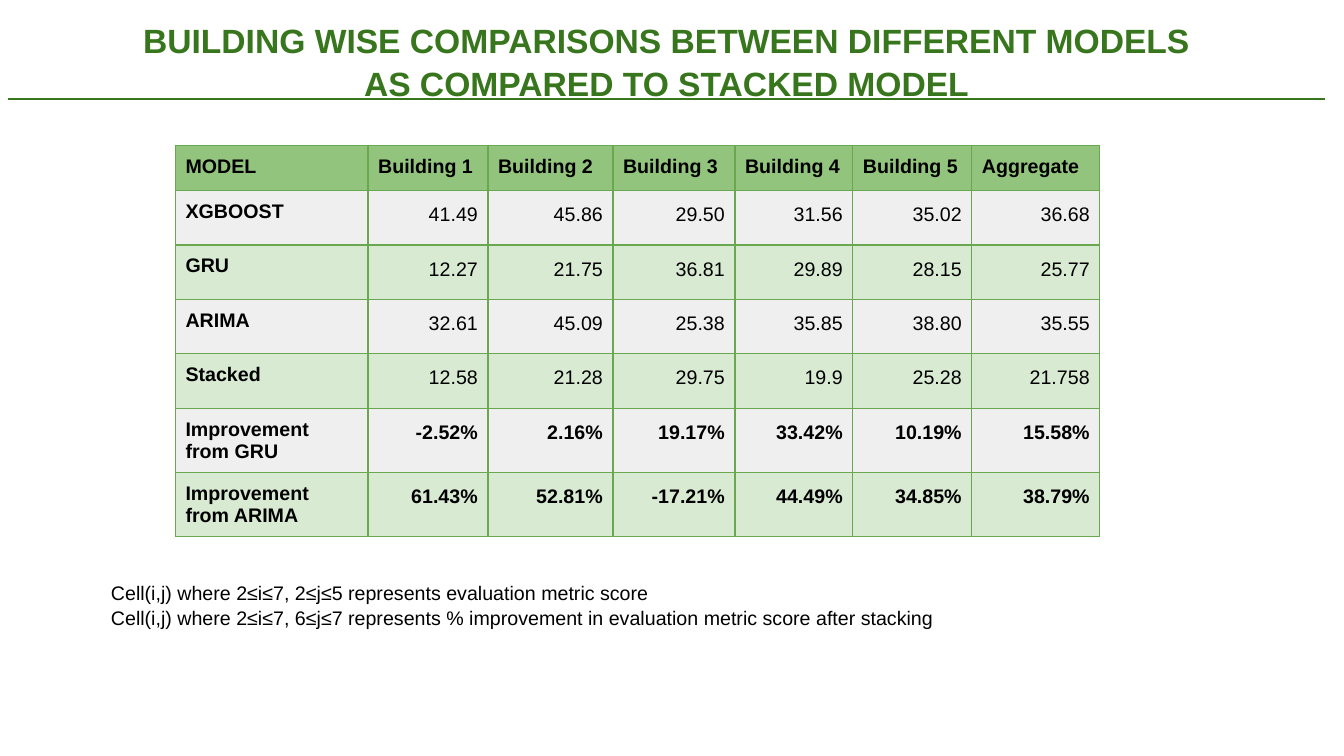
from lxml import etree
from pptx import Presentation
from pptx.dml.color import RGBColor
from pptx.enum.shapes import MSO_CONNECTOR
from pptx.enum.text import MSO_ANCHOR, MSO_AUTO_SIZE, PP_ALIGN
from pptx.oxml import parse_xml
from pptx.oxml.ns import nsdecls, qn
from pptx.util import Inches, Pt

STRAIGHT = MSO_CONNECTOR.STRAIGHT
TOP = MSO_ANCHOR.TOP
NO_AUTOFIT = MSO_AUTO_SIZE.NONE
LEFT, CENTER, RIGHT = PP_ALIGN.LEFT, PP_ALIGN.CENTER, PP_ALIGN.RIGHT

DARK_GREEN, BORDER_GREEN, BLACK = "38761D", "6AA84F", "000000"
HEADER_FILL, GREEN_FILL, GRAY_FILL = "93C47D", "D9EAD3", "EFEFEF"
INSET = Inches(0.1)


def color(hex_string):
    return RGBColor.from_string(hex_string)


def format_text(frame, size, hex_string, bold, align, spacing):
    frame.margin_left = frame.margin_right = INSET
    frame.margin_top = frame.margin_bottom = INSET
    for para in frame.paragraphs:
        para.alignment = align
        para.line_spacing = spacing
        para.space_before = para.space_after = Pt(0)
        for span in para.runs:
            span.font.name = "Arial"
            span.font.size = Pt(size)
            span.font.bold = bold
            span.font.color.rgb = color(hex_string)


deck = Presentation()
deck.slide_width, deck.slide_height = Inches(13.33), Inches(7.5)
page = deck.slides.add_slide(deck.slide_layouts[1])

# Title and notes
title, notes = page.shapes.title, page.placeholders[1]
title.left, title.top, title.width, title.height = map(Inches, (0.49, 0.07, 12.24, 0.61))
notes.left, notes.top, notes.width, notes.height = map(Inches, (1, 5.65, 11.73, 1.35))
title.text_frame.text = (
    "BUILDING WISE COMPARISONS BETWEEN DIFFERENT MODELS\n"
    "AS COMPARED TO STACKED MODEL"
)
notes.text_frame.text = (
    "Cell(i,j) where 2≤i≤7, 2≤j≤5 represents evaluation metric score\n"
    "Cell(i,j) where 2≤i≤7, 6≤j≤7 represents % improvement in evaluation metric score after stacking"
)
for box in (title, notes):
    box.text_frame.word_wrap = True
    box.text_frame.auto_size = NO_AUTOFIT
    box.text_frame.vertical_anchor = TOP
for para in notes.text_frame.paragraphs:
    properties = para._p.get_or_add_pPr()
    properties.set("marL", "0")
    properties.set("indent", "0")
    etree.SubElement(properties, qn("a:buNone"))
format_text(title.text_frame, 24, DARK_GREEN, True, CENTER, 1.07)
format_text(notes.text_frame, 14, BLACK, False, LEFT, 1.07)

# Rule under the title
rule = page.shapes.add_connector(
    STRAIGHT, Inches(0.08), Inches(0.98), Inches(13.14), Inches(0.98))
rule.line.color.rgb = color(DARK_GREEN)
rule.line.width = Pt(1.5)
etree.SubElement(rule._element.spPr, qn("a:effectLst"))

# Model comparison table
scores = [
    ["MODEL", "Building 1", "Building 2", "Building 3", "Building 4", "Building 5", "Aggregate"],
    ["XGBOOST", "41.49", "45.86", "29.50", "31.56", "35.02", "36.68"],
    ["GRU", "12.27", "21.75", "36.81", "29.89", "28.15", "25.77"],
    ["ARIMA", "32.61", "45.09", "25.38", "35.85", "38.80", "35.55"],
    ["Stacked", "12.58", "21.28", "29.75", "19.9", "25.28", "21.758"],
    ["Improvement from GRU", "-2.52%", "2.16%", "19.17%", "33.42%", "10.19%", "15.58%"],
    ["Improvement from ARIMA", "61.43%", "52.81%", "-17.21%", "44.49%", "34.85%", "38.79%"],
]
column_widths = [1.91, 1.19, 1.24, 1.21, 1.17, 1.18, 1.27]
row_heights = [0.45, 0.54, 0.54, 0.54, 0.54, 0.46, 0.47]
table = page.shapes.add_table(
    len(scores), len(column_widths), Inches(1.74), Inches(1.44),
    Inches(sum(column_widths)), Inches(sum(row_heights))).table
for column, width in zip(table.columns, column_widths):
    column.width = Inches(width)
for row, height in zip(table.rows, row_heights):
    row.height = Inches(height)

for i, values in enumerate(scores):
    fill = HEADER_FILL if i == 0 else GRAY_FILL if i % 2 else GREEN_FILL
    for j, value in enumerate(values):
        cell = table.cell(i, j)
        cell.text = value
        is_label = i == 0 or j == 0
        format_text(cell.text_frame, 14, BLACK, is_label or i >= 5,
                    LEFT if is_label else RIGHT, 1.0 if is_label else 1.15)
        cell.margin_left = cell.margin_right = INSET
        cell.margin_top = cell.margin_bottom = INSET
        cell.vertical_anchor = TOP
        for side in ("lnL", "lnR", "lnT", "lnB"):
            cell._tc.get_or_add_tcPr().append(parse_xml(
                f'<a:{side} {nsdecls("a")} w="12700"><a:solidFill>'
                f'<a:srgbClr val="{BORDER_GREEN}"/></a:solidFill></a:{side}>'))
        cell.fill.solid()
        cell.fill.fore_color.rgb = color(fill)

deck.save("out.pptx")
